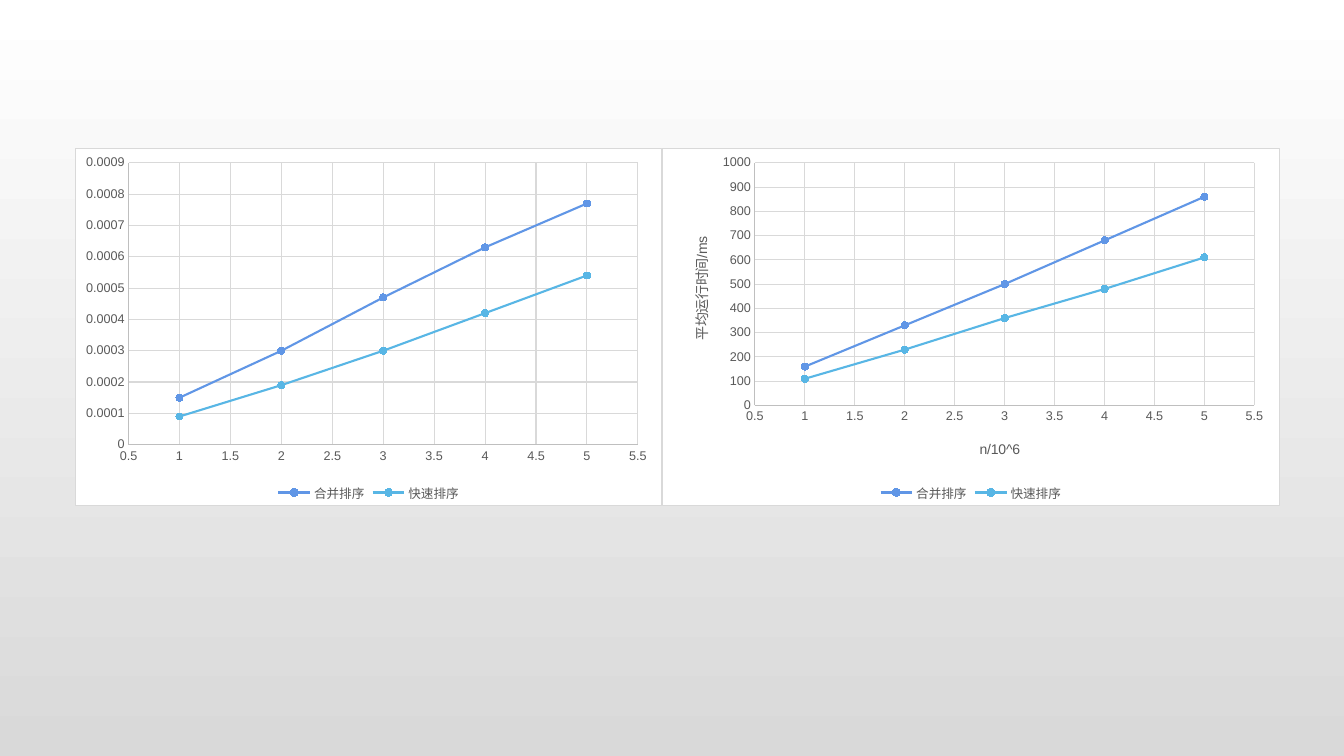
from lxml import etree
from pptx import Presentation
from pptx.chart.data import XyChartData
from pptx.dml.color import RGBColor
from pptx.enum.chart import (XL_CHART_TYPE, XL_LEGEND_POSITION,
                             XL_MARKER_STYLE, XL_TICK_MARK)
from pptx.oxml import parse_xml
from pptx.oxml.ns import nsdecls, qn
from pptx.util import Cm, Pt

SCATTER = XL_CHART_TYPE.XY_SCATTER_SMOOTH
BOTTOM = XL_LEGEND_POSITION.BOTTOM
CIRCLE = XL_MARKER_STYLE.CIRCLE
NO_TICK = XL_TICK_MARK.NONE

FONT = "Arial"
GREY, AXIS_GREY, GRID_GREY = "595959", "BFBFBF", "D9D9D9"
SERIES_COLORS = ("6096E6", "58B6E5")
SIZES = (1, 2, 3, 4, 5)
CHART_TOP, CHART_HEIGHT = 3.73, 9.02
LEFT_START, LEFT_WIDTH, RIGHT_WIDTH = 1.9, 14.78, 15.57

STEP_TIMES = {
    "合并排序": (0.00015, 0.0003, 0.00047, 0.00063, 0.00077),
    "快速排序": (0.00009, 0.00019, 0.0003, 0.00042, 0.00054),
}
RUN_TIMES = {
    "合并排序": (160, 330, 500, 680, 860),
    "快速排序": (110, 230, 360, 480, 610),
}


def color(hex_text):
    """Turn a hex string into a colour."""
    return RGBColor.from_string(hex_text)


def format_font(font, size, hex_text=GREY):
    """Set typeface, size and colour of a font."""
    font.name = FONT
    font.size = Pt(size)
    font.bold = False
    font.color.rgb = color(hex_text)


def format_line(line, hex_text, width=0.75):
    """Set colour and width of a line."""
    line.color.rgb = color(hex_text)
    line.width = Pt(width)


def write_text(text_frame, text, size=10, hex_text=GREY):
    """Write one formatted run into a text frame."""
    run = text_frame.paragraphs[0].add_run()
    run.text = text
    format_font(run.font, size, hex_text)


def place(element, inner=False, **fractions):
    """Fix the place of a chart part as fractions of the chart."""
    for old_layout in element.findall(qn("c:layout")):
        element.remove(old_layout)
    layout = etree.Element(qn("c:layout"))
    manual = etree.SubElement(layout, qn("c:manualLayout"))
    settings = {"layoutTarget": "inner"} if inner else {}
    settings.update(xMode="edge", yMode="edge", **fractions)
    for name, value in settings.items():
        etree.SubElement(manual, qn("c:" + name)).set("val", str(value))
    text = element.find(qn("c:tx"))
    element.insert(0 if text is None else 1, layout)


def format_axis(axis, minimum, maximum, step):
    """Set scale, labels and lines of an axis."""
    axis.minimum_scale = minimum
    axis.maximum_scale = maximum
    axis.major_unit = step
    axis.major_tick_mark = axis.minor_tick_mark = NO_TICK
    axis.tick_labels.number_format = "General"
    axis.tick_labels.number_format_is_linked = False
    format_font(axis.tick_labels.font, 9)
    format_line(axis.format.line, AXIS_GREY)
    axis.has_major_gridlines = True
    format_line(axis.major_gridlines.format.line, GRID_GREY)


def add_axis_title(axis, text, x, y, rotation=0):
    """Give an axis a title at a fixed place."""
    title = axis.axis_title
    write_text(title.text_frame, text)
    body = next(title._element.iter(qn("a:bodyPr")))
    body.set("rot", str(rotation * 60000))
    body.set("vert", "horz")
    place(title._element, x=x, y=y)


def format_series(series, hex_text):
    """Draw a series as a smooth line with round markers."""
    series.smooth = True
    format_line(series.format.line, hex_text, 1.5)
    marker = series.marker
    marker.style = CIRCLE
    marker.size = 5
    marker.format.fill.solid()
    marker.format.fill.fore_color.rgb = color(hex_text)
    format_line(marker.format.line, hex_text)


def frame_chart(chart):
    """Give the chart area a white fill and a grey border."""
    properties = parse_xml(
        f'<c:spPr {nsdecls("c", "a")}>'
        '<a:solidFill><a:srgbClr val="FFFFFF"/></a:solidFill>'
        f'<a:ln w="9525"><a:solidFill><a:srgbClr val="{GRID_GREY}"/>'
        '</a:solidFill></a:ln></c:spPr>')
    chart._chartSpace.find(qn("c:chart")).addnext(properties)


def add_scatter(slide, left, width, times, maximum, step, plot):
    """Add a smooth scatter chart of running times and return it."""
    data = XyChartData()
    for name, values in times.items():
        series = data.add_series(name)
        for size, value in zip(SIZES, values):
            series.add_data_point(size, value)
    chart = slide.shapes.add_chart(
        SCATTER, Cm(left), Cm(CHART_TOP), Cm(width), Cm(CHART_HEIGHT),
        data).chart
    format_font(chart.font, 10, "000000")
    chart.has_title = False
    chart.has_legend = True
    chart.legend.position = BOTTOM
    chart.legend.include_in_layout = False
    format_font(chart.legend.font, 9)
    chart.plots[0].vary_by_categories = False
    for series, hex_text in zip(chart.plots[0].series, SERIES_COLORS):
        format_series(series, hex_text)
    format_axis(chart.category_axis, 0.5, 5.5, 0.5)
    format_axis(chart.value_axis, 0, maximum, step)
    place(next(chart._chartSpace.iter(qn("c:plotArea"))), inner=True, **plot)
    frame_chart(chart)
    return chart


def paint_background(slide):
    """Fill the slide from white at the top to grey at the bottom."""
    fill = slide.background.fill
    fill.gradient()
    fill.gradient_angle = 270
    for stop, position, hex_text in zip(
            fill.gradient_stops, (0, 1), ("FFFFFF", GRID_GREY)):
        stop.position = position
        stop.color.rgb = color(hex_text)


def main():
    """Build the slide with its two charts and save it."""
    presentation = Presentation()
    presentation.slide_width = Cm(33.87)
    presentation.slide_height = Cm(19.05)
    slide = presentation.slides.add_slide(presentation.slide_layouts[6])
    paint_background(slide)
    add_scatter(slide, LEFT_START, LEFT_WIDTH, STEP_TIMES, 0.0009, 0.0001,
                {"x": 0.09, "y": 0.04, "w": 0.87, "h": 0.79})
    run_chart = add_scatter(
        slide, LEFT_START + LEFT_WIDTH, RIGHT_WIDTH, RUN_TIMES, 1000, 100,
        {"x": 0.15, "y": 0.04, "w": 0.81, "h": 0.68})
    add_axis_title(run_chart.category_axis, "n/10^6", 0.51, 0.81)
    add_axis_title(run_chart.value_axis, "平均运行时间/ms", 0.04, 0.24, -90)
    presentation.save("out.pptx")


if __name__ == "__main__":
    main()
